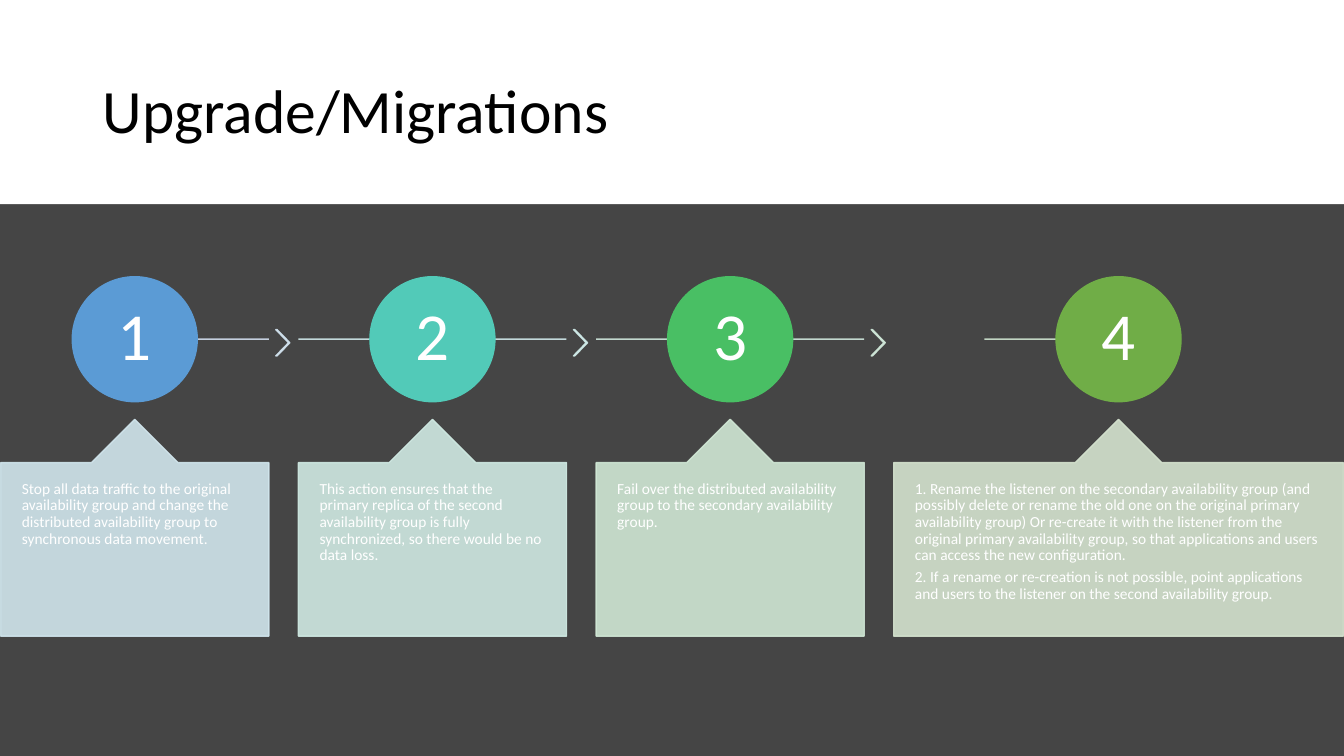
"""Build the Upgrade/Migrations slide with four numbered steps."""
from dataclasses import dataclass

from lxml.etree import SubElement
from pptx import Presentation
from pptx.dml.color import RGBColor
from pptx.enum.shapes import MSO_CONNECTOR, MSO_SHAPE
from pptx.enum.text import MSO_ANCHOR, PP_ALIGN
from pptx.oxml.ns import qn
from pptx.util import Inches, Pt

WIDTH, HEIGHT = Inches(13.33), Inches(7.5)
FONT = "Calibri"
WHITE = RGBColor(0xFF, 0xFF, 0xFF)
BLACK = RGBColor(0x00, 0x00, 0x00)
CHARCOAL = RGBColor(0x45, 0x45, 0x45)

FIRST_LEFT, CARD_WIDTH, PITCH = 0.05, 19.95, 22.15
LAST_WIDTH = 33.45
HALF_LINE = CARD_WIDTH / 2
AXIS = 44.87
CIRCLE = 9.3
CHEVRON_GAP, CHEVRON_WIDTH, CHEVRON_TOP, CHEVRON_HEIGHT = 0.52, 1.05, 43.6, 3.47
CARD_TOP, CARD_HEIGHT = 55.47, 28.67
HEAD_SHARE = 0.2


@dataclass(frozen=True)
class Step:
    """One numbered step with its colours and paragraphs."""
    circle: RGBColor
    line: RGBColor
    chevron: RGBColor | None
    card: RGBColor
    paragraphs: tuple[str, ...]
    width: float = CARD_WIDTH


STEPS = (
    Step(RGBColor(0x5B, 0x9B, 0xD5), RGBColor(0xD2, 0xDE, 0xEF),
         RGBColor(0xD1, 0xE2, 0xEE), RGBColor(0xD1, 0xE6, 0xED),
         ("Stop all data traffic to the original availability group and change "
          "the distributed availability group to synchronous data movement.",)),
    Step(RGBColor(0x52, 0xCA, 0xB8), RGBColor(0xD1, 0xEA, 0xEC),
         RGBColor(0xD0, 0xEB, 0xE9), RGBColor(0xD0, 0xEA, 0xE3),
         ("This action ensures that the primary replica of the second availability "
          "group is fully synchronized, so there would be no data loss.",)),
    Step(RGBColor(0x49, 0xBF, 0x64), RGBColor(0xD0, 0xE9, 0xDE),
         RGBColor(0xD0, 0xE8, 0xD9), RGBColor(0xD0, 0xE7, 0xD5),
         ("Fail over the distributed availability group to the secondary "
          "availability group.",)),
    Step(RGBColor(0x70, 0xAD, 0x47), RGBColor(0xCF, 0xE5, 0xD1),
         None, RGBColor(0xD5, 0xE3, 0xCF),
         ("1. Rename the listener on the secondary availability group (and possibly "
          "delete or rename the old one on the original primary availability group) "
          "Or re-create it with the listener from the original primary availability "
          "group, so that applications and users can access the new configuration.",
          "2. If a rename or re-creation is not possible, point applications and "
          "users to the listener on the second availability group."),
         LAST_WIDTH),
)


def x(share: float) -> int:
    """Turn a percentage of the slide width into a length."""
    return round(WIDTH * share / 100)


def y(share: float) -> int:
    """Turn a percentage of the slide height into a length."""
    return round(HEIGHT * share / 100)


def set_alpha(sp, percent: int) -> None:
    """Give every colour of a shape the same opacity."""
    for color in sp.element.spPr.iter(qn("a:srgbClr")):
        SubElement(color, qn("a:alpha")).set("val", str(percent * 1000))


def add_shape(slide, kind: MSO_SHAPE, box: tuple[int, int, int, int],
              color: RGBColor, alpha: int = 100, adjustments: tuple[float, ...] = ()):
    """Add a flat shape filled and outlined in one colour."""
    sp = slide.shapes.add_shape(kind, *box)
    sp.shadow.inherit = False
    for i, value in enumerate(adjustments):
        sp.adjustments[i] = value
    sp.fill.solid()
    sp.fill.fore_color.rgb = color
    sp.line.color.rgb = color
    sp.line.width = Pt(1)
    if alpha < 100:
        set_alpha(sp, alpha)
    return sp


def add_line(slide, start: float, end: float, color: RGBColor) -> None:
    """Add a piece of the timeline along its axis."""
    cxn = slide.shapes.add_connector(MSO_CONNECTOR.STRAIGHT, x(start), y(AXIS), x(end), y(AXIS))
    cxn.line.color.rgb = color
    cxn.line.width = Pt(1)
    set_alpha(cxn, 90)
    SubElement(cxn.element.spPr, qn("a:effectLst"))


def write(sp, paragraphs: tuple[str, ...], size: float, color: RGBColor,
          inset: tuple[float, float], anchor: MSO_ANCHOR = MSO_ANCHOR.TOP,
          align: PP_ALIGN = PP_ALIGN.LEFT) -> None:
    """Fill a shape with evenly styled paragraphs."""
    tf = sp.text_frame
    tf.word_wrap = True
    tf.vertical_anchor = anchor
    tf.margin_left = tf.margin_right = Inches(inset[0])
    tf.margin_top = tf.margin_bottom = Inches(inset[1])
    tf.text = "\n".join(paragraphs)
    for p in tf.paragraphs:
        p.alignment = align
        p.line_spacing = 0.9
        p.space_after = Pt(4)
        p.font.name = FONT
        p.font.size = Pt(size)
        p.font.color.rgb = color


def add_step(slide, index: int, step: Step) -> None:
    """Draw one step: timeline piece, chevron, circle and callout."""
    left = FIRST_LEFT + index * PITCH
    right = left + step.width
    center = left + step.width / 2
    start = center if index == 0 else center - HALF_LINE
    end = center + HALF_LINE if step.chevron else center
    add_line(slide, start, end, step.line)
    if step.chevron:
        box = (x(right + CHEVRON_GAP), y(CHEVRON_TOP), x(CHEVRON_WIDTH), y(CHEVRON_HEIGHT))
        add_shape(slide, MSO_SHAPE.CHEVRON, box, step.chevron, 90, (0.9,))

    size = x(CIRCLE)
    box = (x(center) - size // 2, y(AXIS) - size // 2, size, size)
    sp = add_shape(slide, MSO_SHAPE.OVAL, box, step.circle)
    write(sp, (str(index + 1),), 48, WHITE, (0.05, 0.05), MSO_ANCHOR.MIDDLE, PP_ALIGN.CENTER)

    box = (x(left), y(CARD_TOP), x(step.width), y(CARD_HEIGHT))
    add_shape(slide, MSO_SHAPE.UP_ARROW_CALLOUT, box, step.card, 90,
              (0.5, HEAD_SHARE, HEAD_SHARE, 1))
    head = CARD_HEIGHT * HEAD_SHARE
    sp = slide.shapes.add_textbox(x(left), y(CARD_TOP + head),
                                  x(step.width), y(CARD_HEIGHT - head))
    write(sp, step.paragraphs, 11, WHITE, (0.21, 0.18))


def main() -> None:
    """Build and save the slide."""
    prs = Presentation()
    prs.slide_width, prs.slide_height = WIDTH, HEIGHT
    slide = prs.slides.add_slide(prs.slide_layouts[6])
    slide.background.fill.solid()
    slide.background.fill.fore_color.rgb = CHARCOAL

    banner = add_shape(slide, MSO_SHAPE.RECTANGLE, (0, 0, WIDTH, y(27)), WHITE)
    banner.line.fill.background()
    title = slide.shapes.add_textbox(x(6.9), y(5.33), x(86.25), y(19.33))
    write(title, ("Upgrade/Migrations",), 44, BLACK, (0.1, 0.05), MSO_ANCHOR.MIDDLE)

    for index, step in enumerate(STEPS):
        add_step(slide, index, step)
    prs.save("out.pptx")


if __name__ == "__main__":
    main()
